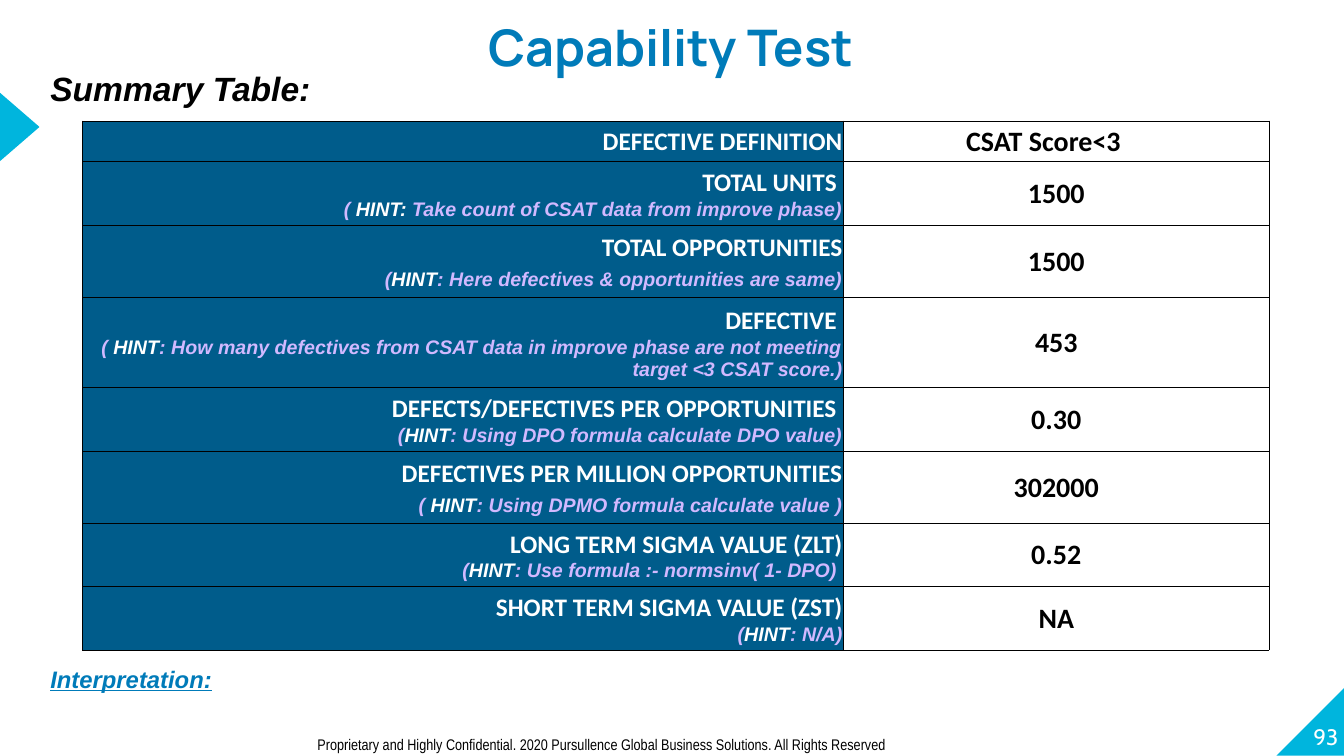
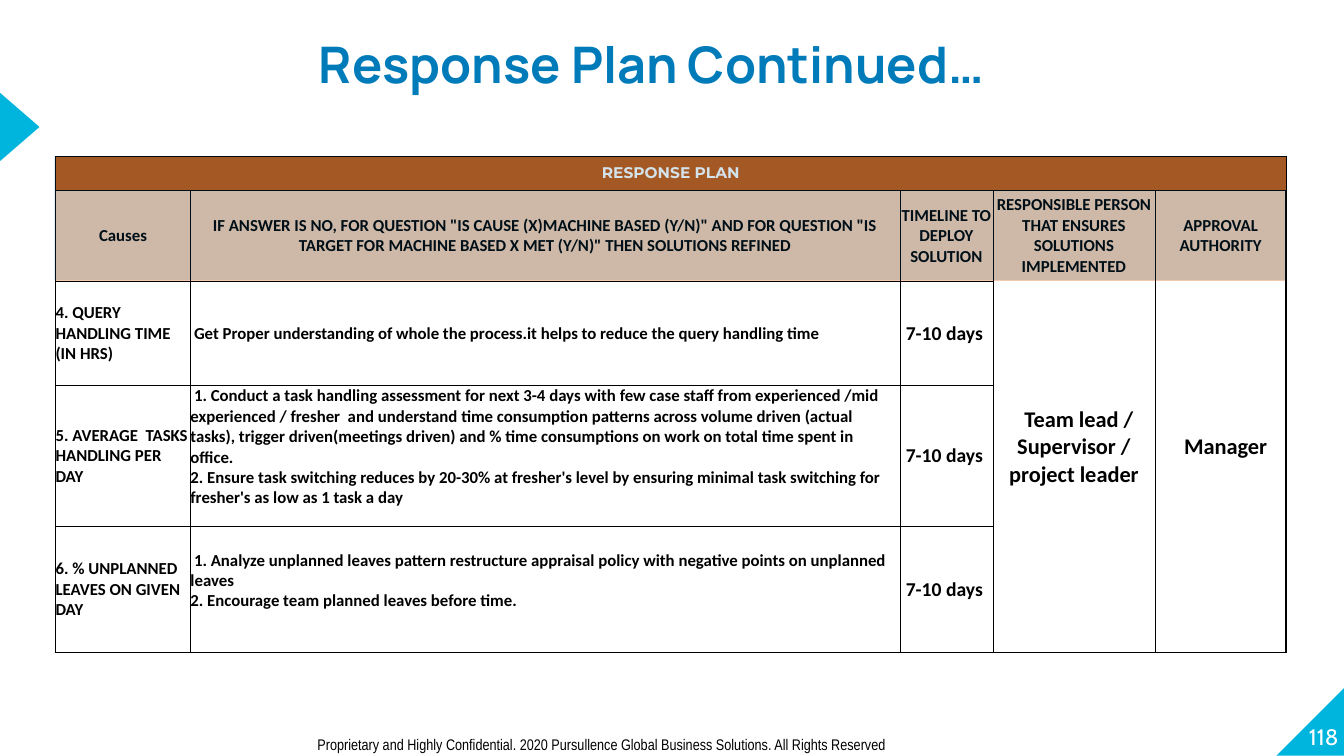
from dataclasses import dataclass, replace
from typing import Callable, NamedTuple

from lxml.etree import SubElement
from pptx import Presentation
from pptx.dml.color import RGBColor
from pptx.enum.shapes import MSO_SHAPE
from pptx.enum.text import MSO_ANCHOR, PP_ALIGN
from pptx.oxml.ns import qn
from pptx.util import Cm, Pt

COLORS = {
    "black": "000000", "white": "FFFFFF", "cyan": "00B5DD", "blue": "007BB9",
    "navy": "005C8B", "lilac": "D1B9FF", "rust": "C65911", "peach": "F8CBAD",
}
FOOTER = ("Proprietary and Highly Confidential. 2020 Pursullence Global "
          "Business Solutions. All Rights Reserved")


@dataclass(frozen=True)
class Style:
    size: float
    font: str = "Calibri"
    color: str = "black"
    bold: bool = True
    italic: bool = False
    underline: bool = False


class Span(NamedTuple):
    text: str
    style: Style


@dataclass(frozen=True)
class Line:
    spans: tuple[Span, ...]
    align: PP_ALIGN = PP_ALIGN.LEFT
    before: float = 0
    after: float = 0
    spacing: float = 1.0
    indent: float = 0


class Margins(NamedTuple):
    left: float = 0
    right: float = 0
    top: float = 0
    bottom: float = 0


@dataclass(frozen=True)
class CellContent:
    lines: tuple[Line, ...] = ()
    fill: str | None = None
    margins: Margins = Margins()


class Box(NamedTuple):
    left: float
    top: float
    width: float
    height: float


class Metric(NamedTuple):
    label: str
    opening: str
    keyword: str
    hint: str
    value: str
    height: float = 1.6
    before: float = 0


class Cause(NamedTuple):
    name: str
    solutions: tuple[str, ...]
    bottom: float = 0
    responsible: tuple[str, ...] = ()
    approver: tuple[str, ...] = ()


BorderRule = Callable[[int, int], tuple[float, float, float, float]]

TITLE = Style(36, "Manrope", "blue")
NUMBER = Style(16, "Cabin", "white", bold=False)
FOOTNOTE = Style(11, "Arial Narrow", bold=False)
SUMMARY = Style(24, "Arial", italic=True)
INTERPRETATION = Style(17, "Arial", "blue", italic=True, underline=True)
LABEL = Style(18, color="white")
VALUE = Style(20)
HINT = Style(14, "Arial", "lilac", italic=True)
KEYWORD = replace(HINT, color="white")
BANNER = Style(11, "Montserrat", "white")
BODY, DAYS, PEOPLE = Style(12), Style(14), Style(16)

THIN = Margins(0.03, 0.03, 0.03, 0)
INSET = Margins(0.25, 0.25, 0.13, 0.13)

METRICS = (
    Metric("TOTAL UNITS ", "( ", "HINT:",
           " Take count of CSAT data from improve phase)", "1500"),
    Metric("TOTAL OPPORTUNITIES", "(", "HINT",
           ": Here defectives & opportunities are same)", "1500", 1.81, 4),
    Metric("DEFECTIVE ", "( ", "HINT",
           ": How many defectives from CSAT data in improve phase are not "
           "meeting target <3 CSAT score.)", "453", 2.29),
    Metric("DEFECTS/DEFECTIVES PER OPPORTUNITIES ", "(", "HINT",
           ": Using DPO formula calculate DPO value)", "0.30"),
    Metric("DEFECTIVES PER MILLION OPPORTUNITIES", "( ", "HINT",
           ": Using DPMO formula calculate value )", "302000", 1.81, 4),
    Metric("LONG TERM SIGMA VALUE (ZLT)", "(", "HINT",
           ": Use formula :- normsinv( 1- DPO) ", "0.52"),
    Metric("SHORT TERM SIGMA VALUE (ZST)", "(", "HINT", ": N/A)", "NA"),
)
PLAN_HEADERS = (
    "Causes",
    'IF ANSWER IS NO, FOR QUESTION "IS CAUSE (X)MACHINE BASED (Y/N)" AND FOR '
    'QUESTION "IS TARGET FOR MACHINE BASED X MET (Y/N)" THEN SOLUTIONS REFINED',
    "TIMELINE TO DEPLOY SOLUTION",
    "RESPONSIBLE PERSON THAT ENSURES SOLUTIONS IMPLEMENTED",
    "APPROVAL AUTHORITY",
)
CAUSES = (
    Cause("4. QUERY HANDLING TIME (IN HRS)",
          ("Get Proper understanding of whole the process.it helps to reduce "
           "the query handling time",)),
    Cause("5. AVERAGE  TASKS HANDLING PER DAY",
          ("1. Conduct a task handling assessment for next 3-4 days with few "
           "case staff from experienced /mid experienced / fresher  and "
           "understand time consumption patterns across volume driven (actual "
           "tasks), trigger driven(meetings driven) and % time consumptions on "
           "work on total time spent in office.",
           "2. Ensure task switching reduces by 20-30% at fresher's level by "
           "ensuring minimal task switching for fresher's as low as 1 task a day"),
          0.45, ("Team lead / Supervisor /", "project leader"), ("Manager",)),
    Cause("6. % UNPLANNED LEAVES ON GIVEN DAY",
          ("1. Analyze unplanned leaves pattern restructure appraisal policy "
           "with negative points on unplanned leaves",
           "2. Encourage team planned leaves before time."), 0.45),
)


def rgb(name: str) -> RGBColor:
    return RGBColor.from_string(COLORS[name])


def line(text: str, style: Style, align: PP_ALIGN = PP_ALIGN.LEFT, **layout) -> Line:
    return Line((Span(text, style),), align, **layout)


def write_lines(text_frame, lines: tuple[Line, ...]) -> None:
    for index, item in enumerate(lines):
        paragraph = text_frame.add_paragraph() if index else text_frame.paragraphs[0]
        paragraph.alignment = item.align
        paragraph.line_spacing = item.spacing
        paragraph.space_before, paragraph.space_after = Pt(item.before), Pt(item.after)
        if item.indent:
            paragraph._p.get_or_add_pPr().set("indent", str(Cm(item.indent)))
        for span in item.spans:
            run = paragraph.add_run()
            run.text = span.text
            font, style = run.font, span.style
            font.name, font.size = style.font, Pt(style.size)
            font.bold, font.italic = style.bold, style.italic
            font.underline = style.underline
            font.color.rgb = rgb(style.color)


def set_margins(target, margins: Margins) -> None:
    target.margin_left, target.margin_right = Cm(margins.left), Cm(margins.right)
    target.margin_top, target.margin_bottom = Cm(margins.top), Cm(margins.bottom)


def add_text(slide, box: Box, item: Line, margins: Margins = Margins(),
             anchor: MSO_ANCHOR = MSO_ANCHOR.TOP) -> None:
    text_frame = slide.shapes.add_textbox(*map(Cm, box)).text_frame
    text_frame.word_wrap = True
    text_frame.vertical_anchor = anchor
    set_margins(text_frame, margins)
    write_lines(text_frame, (item,))


def add_filled_shape(slide, kind: MSO_SHAPE, box: Box, color: str):
    shape = slide.shapes.add_shape(kind, *map(Cm, box))
    shape.shadow.inherit = False
    shape.fill.solid()
    shape.fill.fore_color.rgb = rgb(color)
    shape.line.fill.background()
    return shape


def set_borders(cell, widths: tuple[float, ...]) -> None:
    """Widths in points for left, right, top and bottom; 0 hides the edge."""
    properties = cell._tc.get_or_add_tcPr()
    for side, width in zip("LRTB", widths):
        edge = SubElement(properties, qn(f"a:ln{side}"), w=str(Pt(width)))
        if width:
            fill = SubElement(edge, qn("a:solidFill"))
            SubElement(fill, qn("a:srgbClr"), val=COLORS["black"])
        else:
            SubElement(edge, qn("a:noFill"))


def add_table(slide, left: float, top: float, widths: list[float], heights: list[float],
              rows: list[list[CellContent]], borders: BorderRule):
    frame = slide.shapes.add_table(len(heights), len(widths), Cm(left), Cm(top),
                                   Cm(sum(widths)), Cm(sum(heights)))
    table = frame.table
    table.first_row = table.horz_banding = False
    for column, width in zip(table.columns, widths):
        column.width = Cm(width)
    for row, height in zip(table.rows, heights):
        row.height = Cm(height)
    for row_index, contents in enumerate(rows):
        for column_index, content in enumerate(contents):
            cell = table.cell(row_index, column_index)
            set_borders(cell, borders(row_index, column_index))
            if content.fill:
                cell.fill.solid()
                cell.fill.fore_color.rgb = rgb(content.fill)
            else:
                cell.fill.background()
            cell.vertical_anchor = MSO_ANCHOR.MIDDLE
            set_margins(cell, content.margins)
            write_lines(cell.text_frame, content.lines)
    return table


def add_base_slide(presentation, title: str, number: str, left: float, top: float):
    slide = presentation.slides.add_slide(presentation.slide_layouts[6])
    # Corner and side triangles
    corner = add_filled_shape(slide, MSO_SHAPE.RIGHT_TRIANGLE,
                              Box(32.17, 17.32, 1.72, 1.72), "cyan")
    corner._element.spPr.get_or_add_xfrm().set("flipH", "1")
    marker = add_filled_shape(slide, MSO_SHAPE.ISOSCELES_TRIANGLE,
                              Box(-0.37, 2.7, 1.73, 1), "cyan")
    marker.rotation = 90
    # Number, title and footer
    add_text(slide, Box(32.03, 17.17, 1.7, 1.73), line(number, NUMBER, PP_ALIGN.RIGHT),
             anchor=MSO_ANCHOR.BOTTOM)
    add_text(slide, Box(left, top, 24.66, 1.93),
             line(title, TITLE, PP_ALIGN.CENTER, spacing=1.5))
    add_text(slide, Box(7.75, 18.39, 21.62, 0.74), line(FOOTER, FOOTNOTE), INSET)
    return slide


def metric_row(metric: Metric) -> list[CellContent]:
    hint = Line((Span(metric.opening, HINT), Span(metric.keyword, KEYWORD),
                 Span(metric.hint, HINT)), PP_ALIGN.RIGHT, metric.before, metric.before / 2)
    label = line(metric.label, LABEL, PP_ALIGN.RIGHT)
    value = line(metric.value, VALUE, PP_ALIGN.CENTER)
    return [CellContent((label, hint), "navy", THIN), CellContent((value,), margins=THIN)]


def build_capability_slide(presentation) -> None:
    slide = add_base_slide(presentation, "Capability Test ", "93", 4.7, -0.36)
    add_text(slide, Box(1.02, 1.57, 13.89, 1.27), line("Summary Table:", SUMMARY), INSET)
    add_text(slide, Box(1.02, 16.61, 31.12, 0.99),
             line("Interpretation:", INTERPRETATION), INSET)
    # Summary table
    definition = [
        CellContent((line("DEFECTIVE DEFINITION", LABEL, PP_ALIGN.RIGHT),), "navy", THIN),
        CellContent((line("CSAT Score<3", VALUE, PP_ALIGN.CENTER),),
                    margins=THIN._replace(right=0.68)),
    ]
    add_table(slide, 2.08, 3.05, [19.18, 10.72],
              [1.02] + [metric.height for metric in METRICS],
              [definition] + [metric_row(metric) for metric in METRICS],
              lambda row, column: (0.5, 0.5, 0.5, 0.5))


def plan_borders(row: int, column: int) -> tuple[float, float, float, float]:
    top = 1 if row <= 1 else 0.5
    bottom = 1 if row in (0, 4) else 0.5
    if column >= 3:  # people columns run on without inner rules
        top = 0 if row >= 2 else top
        bottom = 0 if 1 <= row <= 3 else bottom
    return (0.5 if column else 1, 1 if column == 4 else 0.5, top, bottom)


def cause_row(cause: Cause) -> list[CellContent]:
    margins = Margins(bottom=cause.bottom)
    solutions = tuple(line(text, BODY, indent=0 if index else 0.09)
                      for index, text in enumerate(cause.solutions))
    people = [tuple(line(text, PEOPLE, PP_ALIGN.CENTER, indent=0 if index else 0.25)
                    for index, text in enumerate(names))
              for names in (cause.responsible, cause.approver)]
    return [
        CellContent((line(cause.name, BODY),)),
        CellContent(solutions, margins=margins),
        CellContent((line("7-10 days", DAYS, PP_ALIGN.CENTER),), margins=Margins(right=0.1)),
        *(CellContent(lines, margins=margins) for lines in people),
    ]


def build_response_slide(presentation) -> None:
    slide = add_base_slide(presentation, "Response Plan Continued…", "118", 4.09, 0.08)
    # Response plan table
    banner = CellContent((line("RESPONSE PLAN", BANNER, PP_ALIGN.CENTER),), "rust")
    headers = [CellContent((line(text, BODY, PP_ALIGN.CENTER),), "peach")
               for text in PLAN_HEADERS]
    rows = [[banner] + [CellContent(fill="rust")] * 4, headers]
    table = add_table(slide, 1.4, 3.94, [3.4, 17.88, 2.34, 4.09, 3.3],
                      [0.86, 2.29, 2.62, 3.56, 3.18],
                      rows + [cause_row(cause) for cause in CAUSES], plan_borders)
    table.cell(0, 0).merge(table.cell(0, 4))
    # Tint over the two header rows
    tint = add_filled_shape(slide, MSO_SHAPE.RECTANGLE, Box(1.37, 3.94, 31.04, 3.12), "navy")
    color = tint._element.spPr.find(qn("a:solidFill")).find(qn("a:srgbClr"))
    SubElement(color, qn("a:alpha"), val="17000")


def main() -> None:
    presentation = Presentation()
    presentation.slide_width, presentation.slide_height = Cm(33.87), Cm(19.05)
    build_capability_slide(presentation)
    build_response_slide(presentation)
    presentation.save("out.pptx")


if __name__ == "__main__":
    main()
